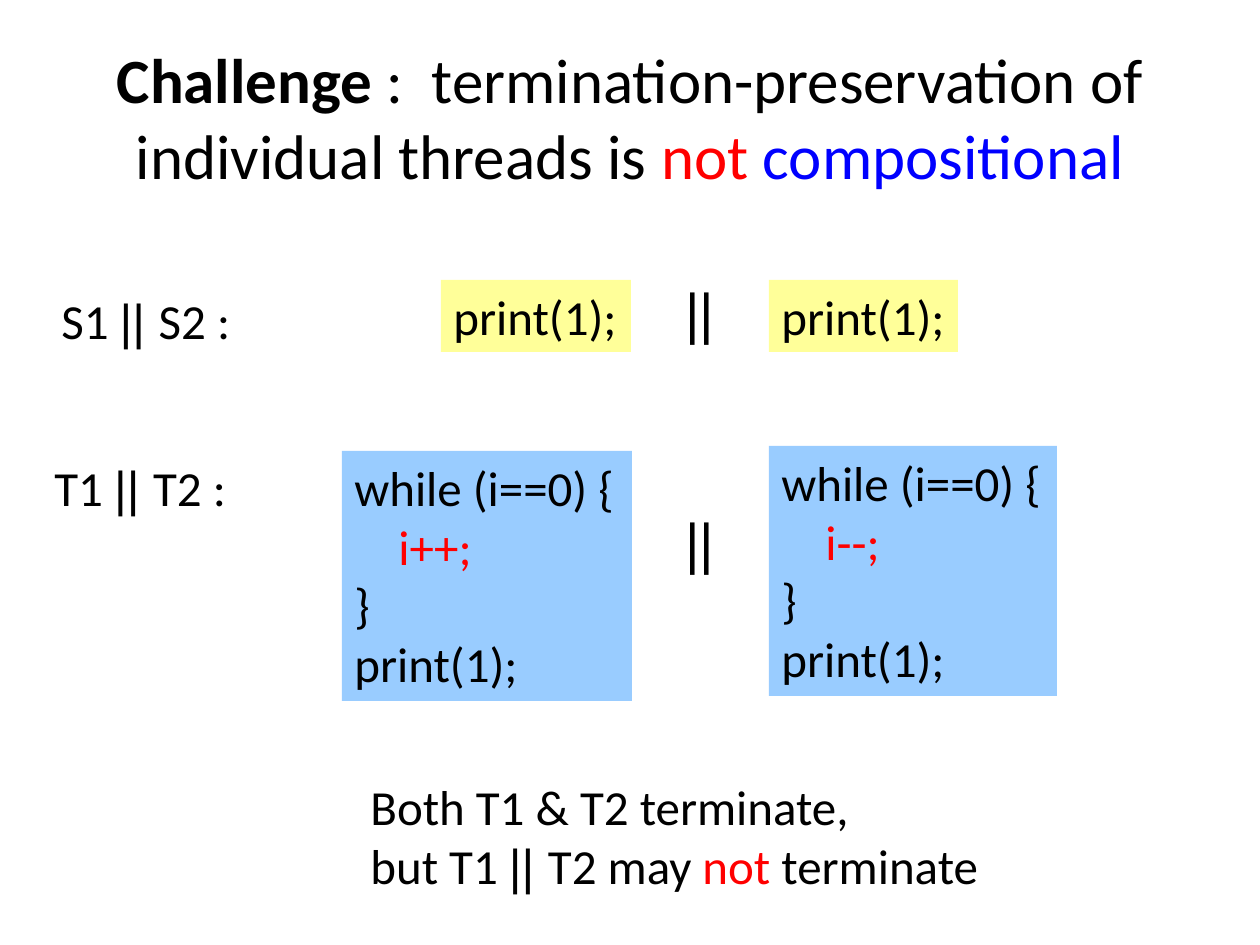
from dataclasses import dataclass

from pptx import Presentation
from pptx.dml.color import RGBColor
from pptx.enum.shapes import MSO_SHAPE
from pptx.enum.text import MSO_ANCHOR, PP_ALIGN
from pptx.util import Emu, Pt

RECT = MSO_SHAPE.RECTANGLE
TOP, MIDDLE = MSO_ANCHOR.TOP, MSO_ANCHOR.MIDDLE
LEFT, CENTER = PP_ALIGN.LEFT, PP_ALIGN.CENTER
EMU_PER_PX = 914400 / 126
BLACK, RED, BLUE = "000000", "FF0000", "0000FF"
YELLOW, SKY = "FFFF99", "99CCFF"


@dataclass(frozen=True)
class Run:
    text: str
    color: str = BLACK
    font: str = "Calibri"
    bold: bool = False


@dataclass(frozen=True)
class Line:
    runs: tuple[Run, ...]
    indent: int = 0


@dataclass(frozen=True)
class Block:
    x: int
    y: int
    w: int
    h: int
    lines: tuple[Line, ...]
    size: int = 28
    fill: str | None = None
    wrap: bool = False
    align: PP_ALIGN = LEFT
    anchor: MSO_ANCHOR = TOP


def px(n: int) -> Emu:
    return Emu(round(n * EMU_PER_PX))


def rgb(color: str) -> RGBColor:
    return RGBColor.from_string(color)


def line(*runs: Run, indent: int = 0) -> Line:
    return Line(runs, indent)


def draw(shapes, b: Block) -> None:
    box = px(b.x), px(b.y), px(b.w), px(b.h)
    if b.fill:
        sp = shapes.add_shape(RECT, *box)
        sp.shadow.inherit = False
        sp.fill.solid()
        sp.fill.fore_color.rgb = rgb(b.fill)
        sp.line.fill.background()
    else:
        sp = shapes.add_textbox(*box)
    tf = sp.text_frame
    tf.word_wrap = b.wrap
    tf.vertical_anchor = b.anchor
    for i, item in enumerate(b.lines):
        p = tf.add_paragraph() if i else tf.paragraphs[0]
        p.alignment = b.align
        if item.indent:
            p._p.get_or_add_pPr().set("marL", str(px(item.indent)))
        for run in item.runs:
            r = p.add_run()
            r.text = run.text
            r.font.name = run.font
            r.font.size = Pt(b.size)
            r.font.bold = run.bold
            r.font.color.rgb = rgb(run.color)


def loop(step: str) -> tuple[Line, ...]:
    return (
        line(Run("while (i==0) {")),
        line(Run(step, RED), indent=44),
        line(Run("}")),
        PRINT,
    )


def pair(name: str) -> Line:
    return line(Run(f"{name}1 "), BARS, Run(f"{name}2 :"))


BARS = Run("|| ", font="Arial")
PARALLEL = line(Run("||", font="Arial"))
PRINT = line(Run("print(1);"))
TITLE = line(
    Run("Challenge", bold=True),
    Run(" :  termination-preservation of individual threads is "),
    Run("not ", RED),
    Run("compositional", BLUE),
)
CONCLUSION = (
    line(Run("Both T1 & T2 terminate,")),
    line(Run("but T1 "), BARS, Run("T2 may "), Run("not", RED), Run(" terminate")),
)

BLOCKS = (
    Block(63, 38, 1134, 157, (TITLE,), 36, wrap=True, align=CENTER, anchor=MIDDLE),
    Block(49, 284, 205, 72, (pair("S"),)),
    Block(441, 280, 190, 72, (PRINT,), fill=YELLOW, wrap=True),
    Block(673, 271, 55, 81, (PARALLEL,), 32),
    Block(769, 280, 189, 72, (PRINT,), fill=YELLOW, wrap=True),
    Block(42, 451, 197, 72, (pair("T"),)),
    Block(342, 451, 290, 250, loop("i++;"), fill=SKY, wrap=True),
    Block(673, 501, 55, 81, (PARALLEL,), 32),
    Block(769, 446, 288, 250, loop("i--;"), fill=SKY, wrap=True),
    Block(358, 770, 638, 131, CONCLUSION),
)

prs = Presentation()
prs.slide_width, prs.slide_height = px(1260), px(945)
s = prs.slides.add_slide(prs.slide_layouts[6])
for block in BLOCKS:
    draw(s.shapes, block)
prs.save("out.pptx")
